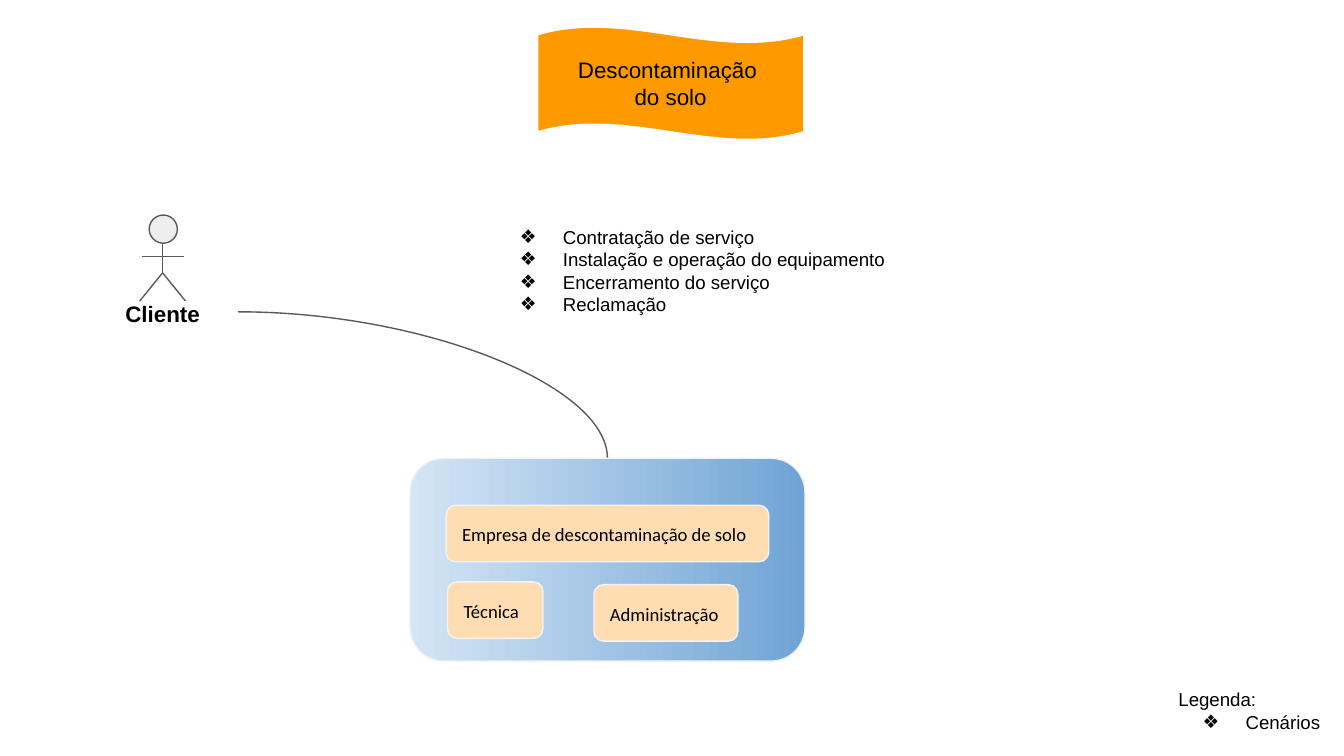
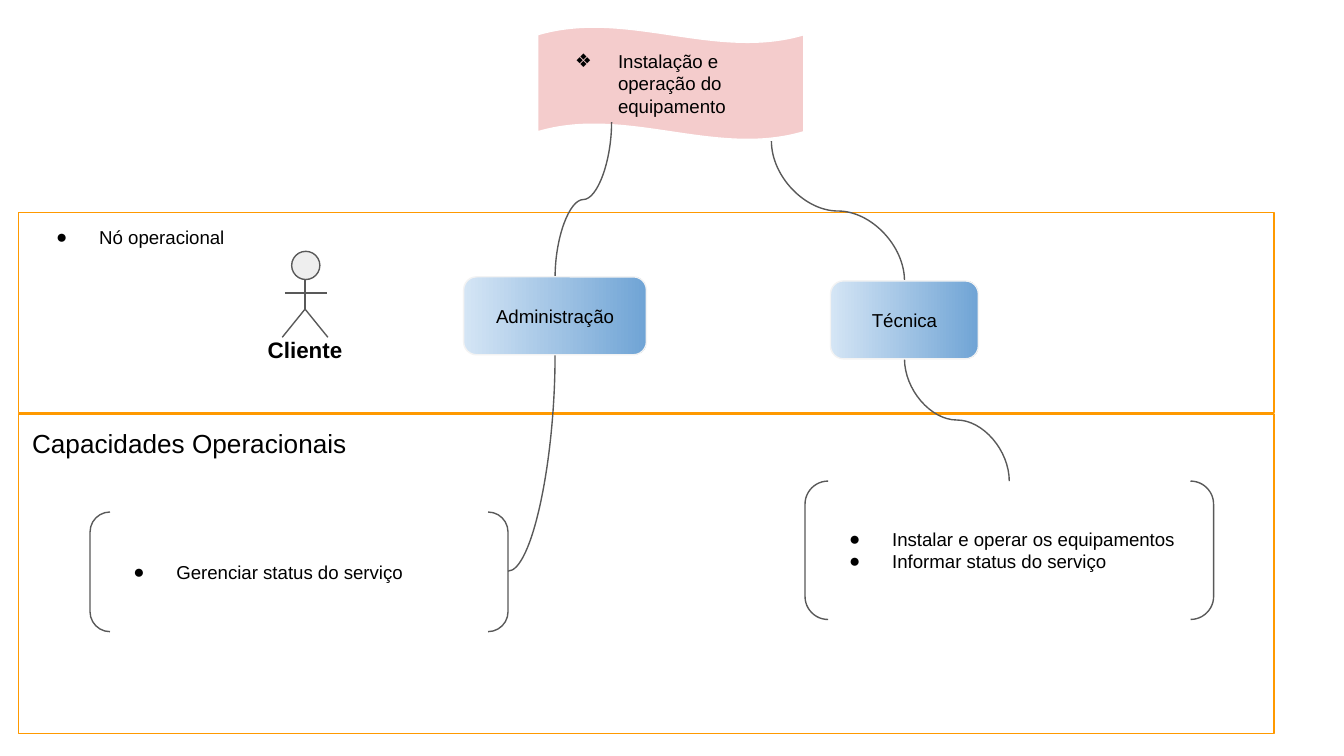
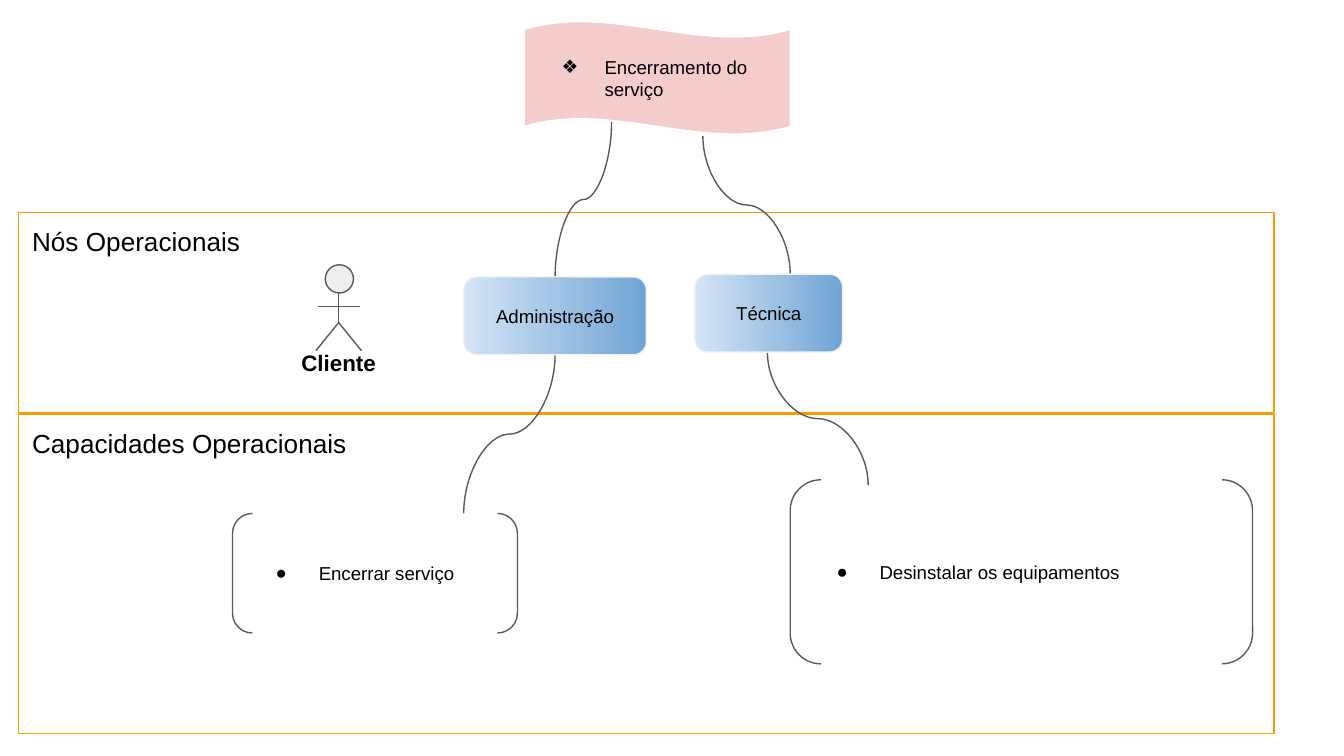
from dataclasses import dataclass
from lxml.etree import SubElement
from pptx import Presentation
from pptx.dml.color import RGBColor
from pptx.enum.shapes import MSO_CONNECTOR, MSO_SHAPE
from pptx.enum.text import MSO_ANCHOR, PP_ALIGN
from pptx.oxml.ns import qn
from pptx.util import Inches, Pt


@dataclass(frozen=True)
class Theme:
    ink: str = "000000"
    wire: str = "595959"
    edge: str = "F3F3F3"
    white: str = "FFFFFF"
    head: str = "EEEEEE"
    band: str = "FF9900"
    pink: str = "F4CCCC"
    peach: str = "FFDDB2"
    blues: tuple = ("D4E5F5", "70A4D5")
    font: str = "Arial"
    alt: str = "Calibri"
    small: int = 10
    mid: int = 12
    large: int = 14
    width: float = 0.75


T = Theme()
MARKS = "❖●"
BANDS = [(0.14, 1.58, 9.34, 1.49), (0.14, 3.08, 9.34, 2.38)]
ADMIN = ("Administração", (3.45, 2.06, 1.36, 0.58))
LINK = ((4.13, 2.06), (4.55, 0.91), 3)

HOME = {
    "flag": (["Descontaminação ", "do solo"], (4, 0.2)),
    "client": (1.21, 1.6),
    "curve": ((1.77, 2.32), (4.52, 3.41)),
    "lists": [
        (["❖ Contratação de serviço", "❖ Instalação e operação do equipamento",
          "❖ Encerramento do serviço", "❖ Reclamação"], (3.59, 1.58, 3.32, 1.01)),
        (["Legenda:", "❖ Cenários"], (8.67, 5.02, 1.27, 0.52)),
    ],
    "firm": (3.05, 3.41, 2.94, 1.51),
    "units": [
        ("Empresa de descontaminação de solo", (3.32, 3.76, 2.4, 0.42)),
        ("Técnica", (3.33, 4.33, 0.71, 0.42)),
        ("Administração", (4.42, 4.35, 1.07, 0.42)),
    ],
}

SCENES = [
    {
        "flag": (["❖ Instalação e operação do equipamento"], (4, 0.2)),
        "bands": [("● Nó operacional", T.small), ("Capacidades Operacionais", T.large)],
        "client": (2.27, 1.87),
        "nodes": [("Técnica", (6.18, 2.09, 1.1, 0.58)), ADMIN],
        "tasks": [
            (["● Instalar e operar os equipamentos", "● Informar status do serviço"],
             (5.99, 3.58, 3.04, 1.03)),
            (["● Gerenciar status do serviço"], (0.67, 3.81, 3.11, 0.89)),
        ],
        "curves": [
            LINK,
            ((6.73, 2.09), (5.74, 1.05), 3),
            ((6.73, 2.67), (7.51, 3.58), 3),
            ((4.13, 2.64), (3.78, 4.25), 2),
        ],
    },
    {
        "flag": (["❖ Encerramento do serviço"], (3.9, 0.16)),
        "bands": [("Nós Operacionais", T.large), ("Capacidades Operacionais", T.large)],
        "client": (2.52, 1.97),
        "nodes": [("Técnica", (5.17, 2.04, 1.1, 0.58)), ADMIN],
        "tasks": [
            (["● Desinstalar os equipamentos"], (5.88, 3.57, 3.44, 1.37)),
            (["● Encerrar serviço"], (1.73, 3.82, 2.12, 0.89)),
        ],
        "curves": [
            LINK,
            ((5.88, 2.04), (5.23, 1.01), 3),
            ((5.71, 2.62), (6.46, 3.61), 3),
            ((4.13, 2.64), (3.45, 3.82), 3),
        ],
    },
]


def rgb(code):
    return RGBColor.from_string(code)


def inch(*nums):
    return [Inches(num) for num in nums]


def bullet(para, mark):
    props = para._p.get_or_add_pPr()
    props.set("marL", str(Inches(0.5)))
    props.set("indent", str(Inches(-0.32)))
    tint = SubElement(props, qn("a:buClr"))
    SubElement(tint, qn("a:srgbClr"), val=T.ink)
    SubElement(props, qn("a:buFont"), typeface=T.font)
    SubElement(props, qn("a:buChar"), char=mark)


def write(shape, lines, size=T.small, font=T.font, bold=False,
          align=PP_ALIGN.LEFT, anchor=MSO_ANCHOR.TOP, space=None):
    frame = shape.text_frame
    frame.word_wrap = True
    frame.vertical_anchor = anchor
    frame.margin_left = frame.margin_right = Inches(0.1)
    frame.margin_top = frame.margin_bottom = Inches(0.1)
    for num, line in enumerate(lines):
        para = frame.add_paragraph() if num else frame.paragraphs[0]
        para.alignment = align
        if space:
            para.line_spacing = space
        if line[0] in MARKS:
            mark, line = line.split(" ", 1)
            bullet(para, mark)
        run = para.add_run()
        run.text = line
        run.font.size = Pt(size)
        run.font.name = font
        run.font.bold = bold
        run.font.color.rgb = rgb(T.ink)


def draw(shapes, kind, box, fill, line):
    shape = shapes.add_shape(kind, *inch(*box))
    shape.shadow.inherit = False
    if fill is None:
        shape.fill.background()
    elif isinstance(fill, tuple):
        shape.fill.gradient()
        shape.fill.gradient_angle = 0
        for stop, code in zip(shape.fill.gradient_stops, fill):
            stop.color.rgb = rgb(code)
    else:
        shape.fill.solid()
        shape.fill.fore_color.rgb = rgb(fill)
    shape.line.color.rgb = rgb(line)
    shape.line.width = Pt(T.width)
    return shape


def label(shapes, lines, box, **style):
    write(shapes.add_textbox(*inch(*box)), lines, **style)


def wire(shapes, start, end, kind=MSO_CONNECTOR.STRAIGHT):
    line = shapes.add_connector(kind, *inch(*start, *end))
    line.line.color.rgb = rgb(T.wire)
    line.line.width = Pt(T.width)
    SubElement(line._element.spPr, qn("a:effectLst"))
    return line


def curve(shapes, start, end, bend, turn=True):
    if turn:
        (ax, ay), (bx, by) = start, end
        midx, midy = (ax + bx) / 2, (ay + by) / 2
        dx, dy = (bx - ax) / 2, (by - ay) / 2
        start, end = (midx - dy, midy + dx), (midx + dy, midy - dx)
    line = wire(shapes, start, end, MSO_CONNECTOR.CURVE)
    props = line._element.spPr
    if turn:
        props.find(qn("a:xfrm")).set("rot", str(90 * 60000))
    props.find(qn("a:prstGeom")).set("prst", f"curvedConnector{bend}")


def flag(shapes, lines, spot, fill, **style):
    shape = draw(shapes, MSO_SHAPE.WAVE, (*spot, 1.98, 0.84), fill, T.white)
    shape.adjustments[0] = 0.07
    shape.adjustments[1] = 0
    write(shape, lines, anchor=MSO_ANCHOR.MIDDLE, **style)


def client(shapes, x, y):
    parts = shapes.add_group_shape().shapes
    draw(parts, MSO_SHAPE.FLOWCHART_CONNECTOR, (x - 0.1, y, 0.21, 0.21), T.head, T.wire)
    neck, hip = (x, y + 0.21), (x, y + 0.43)
    wire(parts, neck, hip)
    wire(parts, (x - 0.15, y + 0.31), (x + 0.16, y + 0.31))
    for side in (-0.17, 0.17):
        wire(parts, hip, (x + side, y + 0.64))
    label(parts, ["Cliente"], (x - 0.56, y + 0.53, 1.12, 0.37),
          size=T.mid, bold=True, align=PP_ALIGN.CENTER)


def home(shapes, data):
    flag(shapes, *data["flag"], T.band, size=T.mid, align=PP_ALIGN.CENTER)
    client(shapes, *data["client"])
    curve(shapes, *data["curve"], 2, turn=False)
    for lines, box in data["lists"]:
        label(shapes, lines, box)
    parts = shapes.add_group_shape().shapes
    draw(parts, MSO_SHAPE.ROUNDED_RECTANGLE, data["firm"], T.blues, T.edge)
    for name, box in data["units"]:
        unit = draw(parts, MSO_SHAPE.ROUNDED_RECTANGLE, box, T.peach, T.edge)
        write(unit, [name], font=T.alt, anchor=MSO_ANCHOR.MIDDLE, space=1.07)


def scene(shapes, data):
    for (name, size), box in zip(data["bands"], BANDS):
        write(draw(shapes, MSO_SHAPE.RECTANGLE, box, None, T.band), [name], size=size)
    flag(shapes, *data["flag"], T.pink)
    for start, end, bend in data["curves"]:
        curve(shapes, start, end, bend)
    for lines, box in data["tasks"]:
        task = draw(shapes, MSO_SHAPE.DOUBLE_BRACKET, box, None, T.wire)
        write(task, lines, anchor=MSO_ANCHOR.MIDDLE)
    for name, box in data["nodes"]:
        node = draw(shapes, MSO_SHAPE.ROUNDED_RECTANGLE, box, T.blues, T.edge)
        write(node, [name], align=PP_ALIGN.CENTER, anchor=MSO_ANCHOR.MIDDLE)
    client(shapes, *data["client"])


def main():
    deck = Presentation()
    deck.slide_width = Inches(10)
    deck.slide_height = Inches(10) * 9 // 16
    blank = deck.slide_layouts[6]
    home(deck.slides.add_slide(blank).shapes, HOME)
    for data in SCENES:
        scene(deck.slides.add_slide(blank).shapes, data)
    deck.save("out.pptx")


if __name__ == "__main__":
    main()
